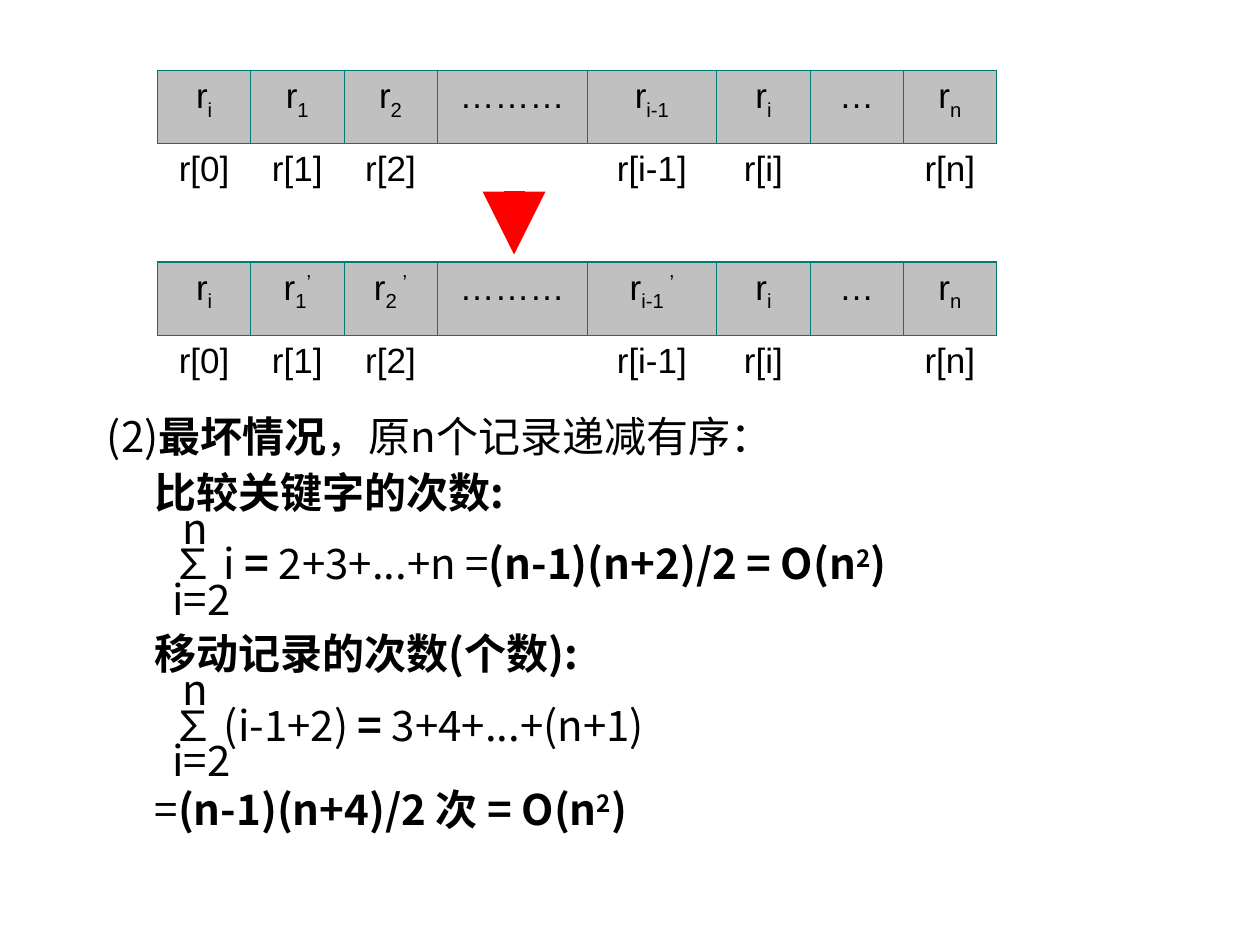
from pptx import Presentation
from pptx import util as u
from pptx.dml.color import RGBColor
from pptx.enum import shapes, text
from pptx.oxml import parse_xml
from pptx.oxml.ns import nsdecls, qn
from lxml import etree

COLORS = {"text": "000000", "cell": "C0C0C0", "border": "007A77", "arrow": "FF0000"}
BODY_FONT = "Noto Sans CJK SC"
TABLE_FONT = "Arial"
NO_STYLE = "{2D5ABB26-0587-4C30-8999-92F81FD0307C}"
COLUMNS = [0.74, 0.74, 0.74, 0.74, 0.45, 1.03, 0.74, 0.74, 0.74]
INDEXES = ["r[0]", "r[1]", "r[2]", "", "", "r[i-1]", "r[i]", "", "r[n]"]
BASELINES = {"sub": "-25000", "sup": "30000"}


def color(name):
    return RGBColor.from_string(COLORS[name])


def add_run(paragraph, wording, style, font_name, size):
    run = paragraph.add_run()
    run.text = wording
    values = {"name": font_name, "size": u.Pt(size), "bold": "bold" in style}
    for key, value in values.items():
        setattr(run.font, key, value)
    run.font.color.rgb = color("text")
    properties = run.font._element
    etree.SubElement(properties, qn("a:ea")).set("typeface", font_name)
    for key, baseline in BASELINES.items():
        if key in style:
            properties.set("baseline", baseline)


def add_explanation(slide, lines):
    box = slide.shapes.add_textbox(u.Inches(0.75), u.Inches(3.17), u.Inches(8.08), u.Inches(3.89))
    frame = box.text_frame
    frame.word_wrap = True
    for number, (indent, spacing, runs) in enumerate(lines):
        paragraph = frame.paragraphs[0] if number == 0 else frame.add_paragraph()
        paragraph.line_spacing = spacing
        paragraph._p.get_or_add_pPr().set("marL", str(u.Inches(indent)))
        for wording, style in runs:
            add_run(paragraph, wording, style, BODY_FONT, 24)


def add_border(cell, side, width):
    cell._tc.get_or_add_tcPr().append(parse_xml(
        f'<a:ln{side} {nsdecls("a")} w="{u.Pt(width)}"><a:solidFill>'
        f'<a:srgbClr val="{COLORS["border"]}"/></a:solidFill></a:ln{side}>'))


def fill_cell(cell, runs):
    paragraph = cell.text_frame.paragraphs[0]
    paragraph.alignment = text.PP_ALIGN.CENTER
    for wording, style in runs:
        add_run(paragraph, wording, style, TABLE_FONT, 20)


def add_record_table(slide, top, heights, records):
    frame = slide.shapes.add_table(2, len(COLUMNS), u.Inches(1.25), u.Inches(top),
                                   u.Inches(sum(COLUMNS)), u.Inches(sum(heights)))
    table = frame.table
    table._tbl.tblPr.find(qn("a:tableStyleId")).text = NO_STYLE
    table.first_row = table.horz_banding = False
    for column, width in zip(table.columns, COLUMNS):
        column.width = u.Inches(width)
    for row, height in zip(table.rows, heights):
        row.height = u.Inches(height)
    table.cell(0, 3).merge(table.cell(0, 4))
    last = len(COLUMNS) - 1
    for number, (runs, index) in enumerate(zip(records, INDEXES)):
        record = table.cell(0, number)
        widths = {"L": 1.08 if number == 0 else 0.45,
                  "R": 1.08 if number == last else 0.45, "T": 1.08, "B": 0.45}
        for side, width in widths.items():
            add_border(record, side, width)
        record.fill.solid()
        record.fill.fore_color.rgb = color("cell")
        fill_cell(record, runs)
        label = table.cell(1, number)
        add_border(label, "T", 0.45)
        label.fill.background()
        if index:
            fill_cell(label, [(index, "")])


def add_arrow(slide):
    arrow = slide.shapes.add_connector(shapes.MSO_CONNECTOR.STRAIGHT, u.Inches(4.08),
                                       u.Inches(1.52), u.Inches(4.08), u.Inches(2.02))
    arrow.line.width = u.Pt(12)
    arrow.line.color.rgb = color("arrow")
    etree.SubElement(arrow.line._get_or_add_ln(), qn("a:tailEnd")).set("type", "triangle")
    etree.SubElement(arrow._element.spPr, qn("a:effectLst"))


def record_runs(subscript, mark=""):
    runs = [("r", ""), (subscript, "sub")]
    return runs + [(mark, "sup")] if mark else runs


def record_row(first, second, previous, mark=""):
    return [record_runs("i"), record_runs(first, mark), record_runs(second, mark),
            [("………", "")], [], record_runs(previous, mark), record_runs("i"),
            [("…", "")], record_runs("n")]


def sum_lines(runs):
    return [(0.6, 0.7, [("n", "")]), (0.52, 0.7, runs), (0.52, 0.7, [("i=2", "")])]


def result_runs(formula):
    return [(f"{formula} = O(n", "bold"), ("2", "bold sup"), (")", "bold")]


def main():
    presentation = Presentation()
    presentation.slide_width, presentation.slide_height = u.Inches(10), u.Inches(7.5)
    slide = presentation.slides.add_slide(presentation.slide_layouts[6])
    add_explanation(slide, [
        (0, 1.1, [("(2)", ""), ("最坏情况", "bold"), ("，原n个记录递减有序：", "")]),
        (0.38, 1.1, [("比较关键字的次数:", "bold")]),
        *sum_lines([("∑ i ", ""), ("=", "bold"), (" 2+3+...+n =", ""),
                    *result_runs("(n-1)(n+2)/2")]),
        (0.38, 1.1, [("移动记录的次数(个数):", "bold")]),
        *sum_lines([("∑ (i-1+2) ", ""), ("=", "bold"), (" 3+4+...+(n+1)", "")]),
        (0.38, 1, [("=", ""), *result_runs("(n-1)(n+4)/2 次")]),
    ])
    add_record_table(slide, 0.56, [0.58, 0.48], record_row("1", "2", "i-1"))
    add_record_table(slide, 2.08, [0.58, 0.53], record_row("1", "2 ", "i-1 ", "’"))
    add_arrow(slide)
    presentation.save("out.pptx")


if __name__ == "__main__":
    main()
